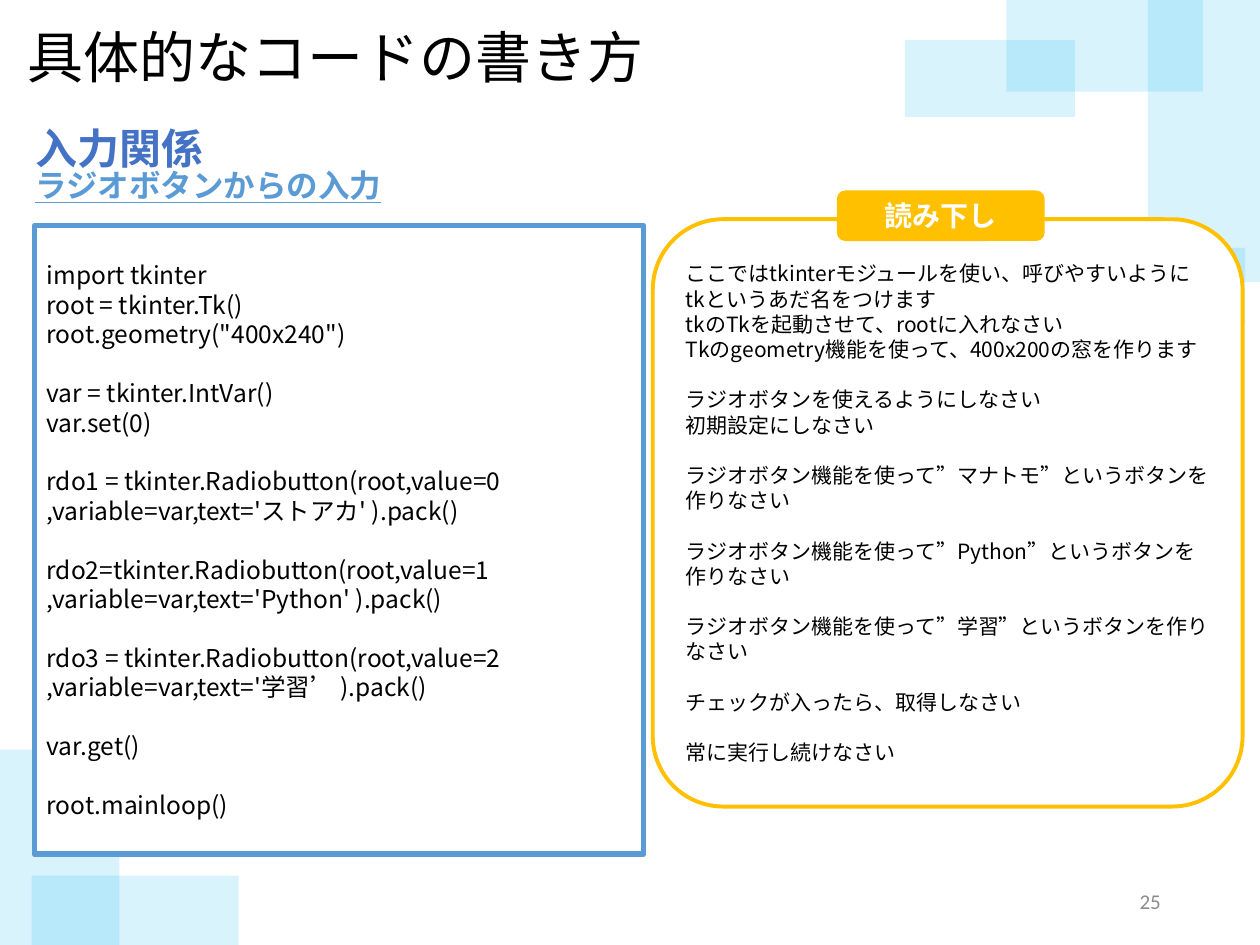
import pptx
import pptx.dml.color
import pptx.enum.shapes
import pptx.enum.text
import pptx.oxml
import pptx.oxml.ns
import pptx.util
from dataclasses import dataclass

Cm = pptx.util.Cm
Pt = pptx.util.Pt
SHAPE = pptx.enum.shapes.MSO_SHAPE
ANCHOR = pptx.enum.text.MSO_ANCHOR
ALIGN = pptx.enum.text.PP_ALIGN
LINE_HEIGHT = 1.2  # of the type size

BACKDROP_BLOCKS = [
    (21.67, 5, 3.43, 1.55),
    (23.14, 0, 2.26, 5.69),
    (20.29, 0, 3.96, 1.85),
    (18.24, 0.81, 3.43, 1.55),
    (0, 15.11, 2.41, 3.94),
    (0.64, 17.65, 4.17, 1.4),
]

# Each inner list is a group of lines; groups are set one line apart.
CODE = [
    ["import tkinter", "root = tkinter.Tk()", 'root.geometry("400x240")'],
    ["var = tkinter.IntVar()", "var.set(0)"],
    ["rdo1 = tkinter.Radiobutton(root,value=0", ",variable=var,text='ストアカ' ).pack()"],
    ["rdo2=tkinter.Radiobutton(root,value=1", ",variable=var,text='Python' ).pack()"],
    ["rdo3 = tkinter.Radiobutton(root,value=2", ",variable=var,text='学習’ ).pack()"],
    ["var.get()"],
    ["root.mainloop()"],
]

READING = [
    [
        "ここではtkinterモジュールを使い、呼びやすいようにtkというあだ名をつけます",
        "tkのTkを起動させて、rootに入れなさい",
        "Tkのgeometry機能を使って、400x200の窓を作ります",
    ],
    ["ラジオボタンを使えるようにしなさい", "初期設定にしなさい"],
    *[[f"ラジオボタン機能を使って”{label}”というボタンを作りなさい"]
      for label in ("マナトモ", "Python", "学習")],
    ["チェックが入ったら、取得しなさい"],
    ["常に実行し続けなさい"],
]


@dataclass(frozen=True)
class Theme:
    font: str = "Noto Sans CJK JP"
    number_font: str = "Calibri"
    ink: str = "000000"
    paper: str = "FFFFFF"
    sky: str = "00B0F0"
    heading: str = "4472C4"
    code_blue: str = "5B9BD5"
    amber: str = "FFC000"
    grey: str = "8C8C8C"
    title_size: int = 32
    heading_size: int = 24
    subheading_size: int = 18
    badge_size: int = 16
    code_size: int = 14
    small_size: int = 12


def rgb(color):
    return pptx.dml.color.RGBColor.from_string(color)


class SlideBuilder:
    def __init__(self, slide, theme):
        self.slide = slide
        self.theme = theme

    def styled_run(self, paragraph, text, size, color, bold=False, underline=False, font=None):
        run = paragraph.add_run()
        run.text = text
        run.font.size = Pt(size)
        run.font.bold = bold
        run.font.underline = underline
        run.font.color.rgb = rgb(color)
        run.font.name = font or self.theme.font
        latin = run._r.get_or_add_rPr().find(pptx.oxml.ns.qn("a:latin"))
        east_asian = pptx.oxml.parse_xml(
            f'<a:ea {pptx.oxml.ns.nsdecls("a")} typeface="{run.font.name}"/>')
        latin.addnext(east_asian)

    def title(self, text, box):
        title = self.slide.shapes.title
        title.left, title.top, title.width, title.height = map(Cm, box)
        frame = title.text_frame
        frame.auto_size = pptx.enum.text.MSO_AUTO_SIZE.NONE
        frame.vertical_anchor = ANCHOR.TOP
        frame.paragraphs[0].alignment = ALIGN.LEFT
        self.styled_run(frame.paragraphs[0], text, self.theme.title_size, self.theme.ink)

    def label(self, text, box, size, color, align=ALIGN.LEFT, anchor=ANCHOR.TOP,
              spacing=1.0, **style):
        frame = self.slide.shapes.add_textbox(*map(Cm, box)).text_frame
        frame.word_wrap = True
        frame.vertical_anchor = anchor
        paragraph = frame.paragraphs[0]
        paragraph.alignment = align
        paragraph.line_spacing = spacing
        self.styled_run(paragraph, text, size, color, **style)

    def block(self, box, fill, preset=SHAPE.RECTANGLE, line=None, line_width=0, corner=None):
        block = self.slide.shapes.add_shape(preset, *map(Cm, box))
        block.shadow.inherit = False
        block.fill.solid()
        block.fill.fore_color.rgb = rgb(fill)
        if line:
            block.line.color.rgb = rgb(line)
            block.line.width = Pt(line_width)
        else:
            block.line.fill.background()
        if corner is not None:
            block.adjustments[0] = corner
        return block

    def backdrop(self, box, opacity=15):
        block = self.block(box, self.theme.sky)
        color = block._element.spPr.find(".//" + pptx.oxml.ns.qn("a:srgbClr"))
        color.append(pptx.oxml.parse_xml(
            f'<a:alpha {pptx.oxml.ns.nsdecls("a")} val="{opacity * 1000}"/>'))

    def panel(self, groups, box, size, **outline):
        """Draw an outlined box of line groups, with one line of space between groups."""
        frame = self.block(box, self.theme.paper, **outline).text_frame
        frame.word_wrap = True
        frame.vertical_anchor = ANCHOR.MIDDLE
        paragraph = None
        for group in groups:
            for position, text in enumerate(group):
                first = paragraph is None
                paragraph = frame.paragraphs[0] if first else frame.add_paragraph()
                paragraph.alignment = ALIGN.LEFT
                if position == 0 and not first:
                    paragraph.space_before = Pt(size * LINE_HEIGHT)
                self.styled_run(paragraph, text, size, self.theme.ink)

    def badge(self, text, box):
        frame = self.block(box, self.theme.amber, SHAPE.ROUNDED_RECTANGLE).text_frame
        frame.vertical_anchor = ANCHOR.MIDDLE
        frame.paragraphs[0].alignment = ALIGN.CENTER
        self.styled_run(frame.paragraphs[0], text, self.theme.badge_size, self.theme.paper,
                        bold=True)


def main():
    deck = pptx.Presentation()
    deck.slide_width, deck.slide_height = Cm(25.4), Cm(19.05)
    theme = Theme()
    title_only = deck.slide_layouts[5]
    builder = SlideBuilder(deck.slides.add_slide(title_only), theme)

    for box in BACKDROP_BLOCKS:
        builder.backdrop(box)
    builder.title("具体的なコードの書き方", (0.3, 0.33, 16.18, 1.63))
    builder.label("入力関係", (0.46, 1.83, 13.16, 1.68), theme.heading_size,
                  theme.heading, spacing=1.5, bold=True)
    builder.panel(CODE, (0.69, 4.55, 12.29, 12.67), theme.code_size,
                  line=theme.code_blue, line_width=3)
    builder.panel(READING, (13.16, 4.42, 11.89, 11.84), theme.small_size,
                  preset=SHAPE.ROUNDED_RECTANGLE, line=theme.amber,
                  line_width=2.25, corner=0.12)
    builder.badge("読み下し", (16.87, 3.84, 4.19, 1.02))
    builder.label("ラジオボタンからの入力", (0.46, 3.23, 10.03, 1.02), theme.subheading_size,
                  theme.code_blue, bold=True, underline=True)
    builder.label("25", (17.93, 17.65, 5.72, 1.02), theme.small_size, theme.grey,
                  align=ALIGN.RIGHT, anchor=ANCHOR.MIDDLE, font=theme.number_font)
    deck.save("out.pptx")


if __name__ == "__main__":
    main()
